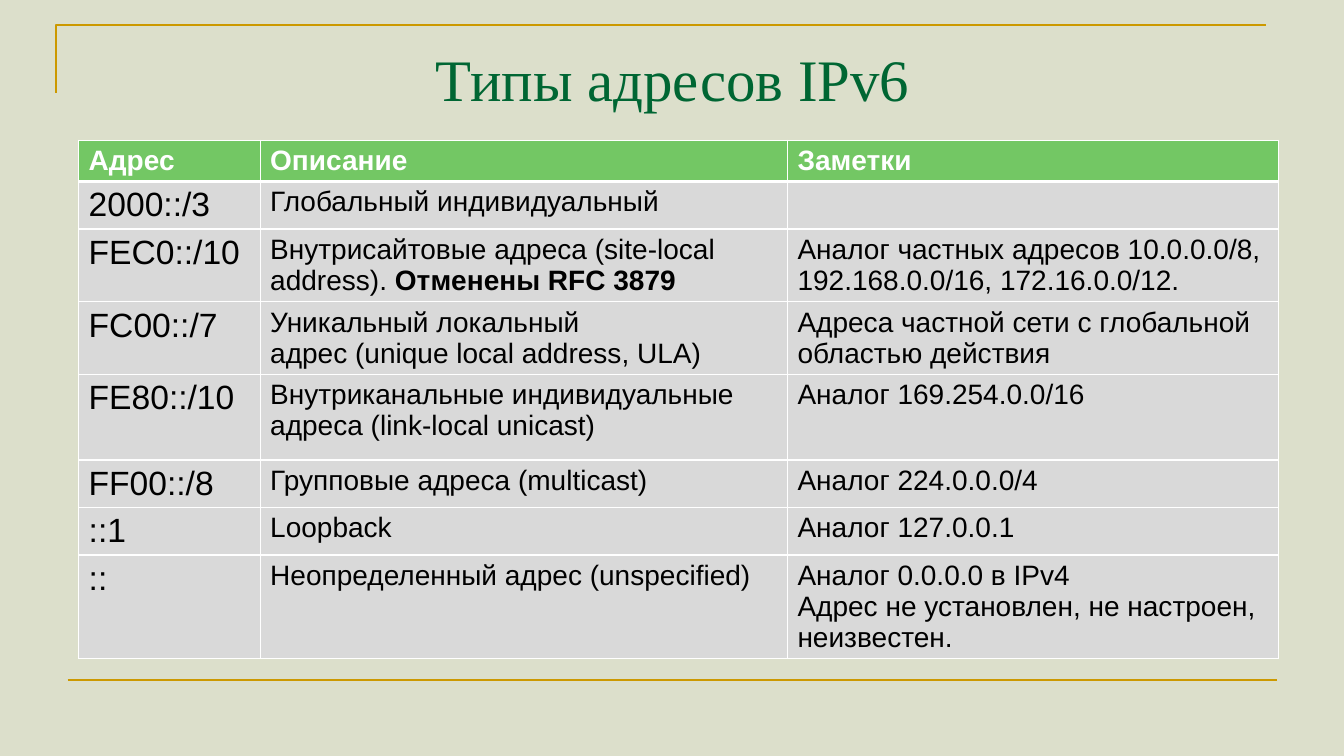
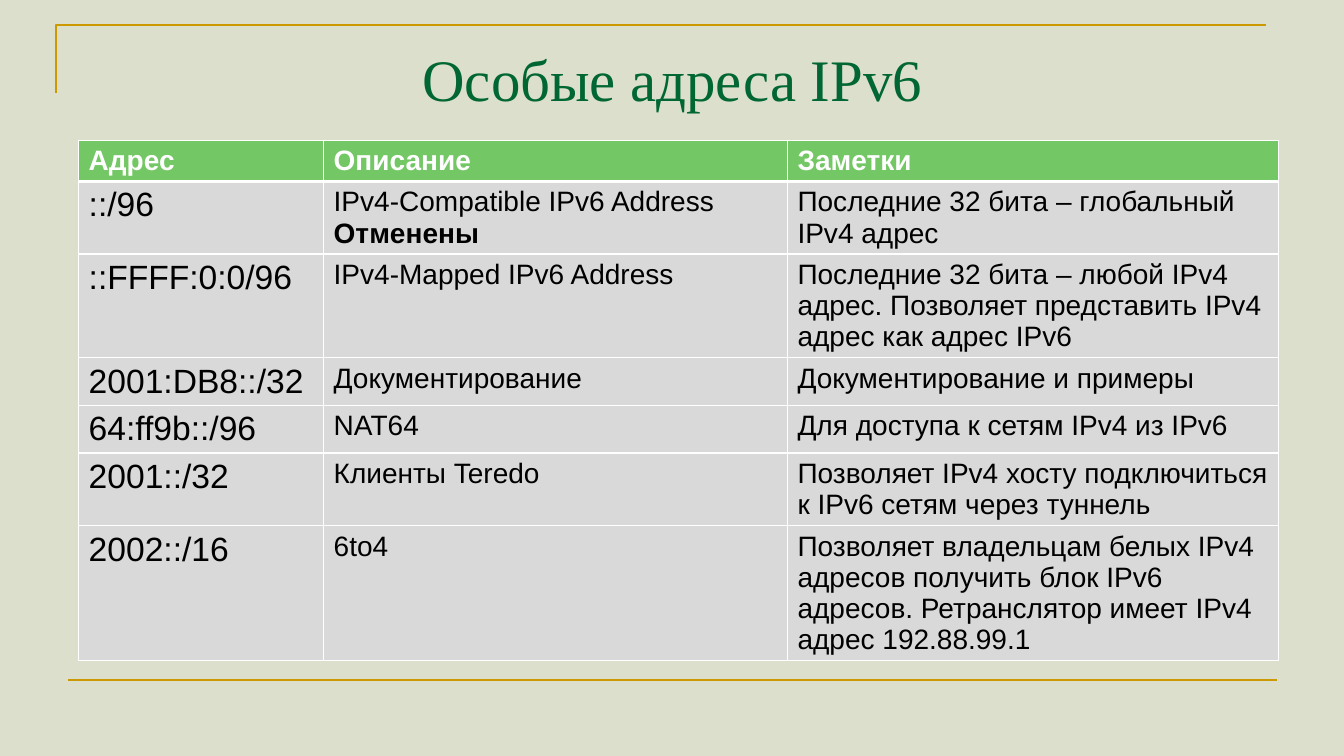
import pptx
import pptx.dml.color
import pptx.enum.shapes
import pptx.enum.text
import pptx.oxml
import pptx.oxml.ns
import pptx.util
from pptx.util import Inches

COLORS = {
    "background": "DCDFCB",
    "rule": "CC9900",
    "title": "006633",
    "header": "73C764",
    "header_text": "FFFFFF",
    "body": "D9D9D9",
    "body_text": "000000",
    "border": "FFFFFF",
}
TITLE_FONT = "Times New Roman"
TABLE_FONT = "Arial"
TITLE_ONLY = 5
HEADINGS = ("Адрес", "Описание", "Заметки")
HEADER_HEIGHT = 0.41
# Row heights in inches by the number of text lines
ONE, TWO, THREE, FOUR = 0.47, 0.72, 1.03, 1.34
BOLD_MARK = "**"

# Each row: height, address, description, notes; text after ** is bold
ADDRESS_TYPES = [
    (ONE, "2000::/3", "Глобальный индивидуальный", ""),
    (TWO, "FEC0::/10",
     "Внутрисайтовые адреса (site-local address). **Отменены RFC 3879",
     "Аналог частных адресов 10.0.0.0/8, 192.168.0.0/16, 172.16.0.0/12."),
    (TWO, "FC00::/7",
     "Уникальный локальный\nадрес (unique local address, ULA)",
     "Адреса частной сети с глобальной областью действия"),
    (0.85, "FE80::/10",
     "Внутриканальные индивидуальные адреса (link-local unicast)",
     "Аналог 169.254.0.0/16"),
    (ONE, "FF00::/8", "Групповые адреса (multicast)", "Аналог 224.0.0.0/4"),
    (ONE, "::1", "Loopback", "Аналог 127.0.0.1"),
    (THREE, "::", "Неопределенный адрес (unspecified)",
     "Аналог 0.0.0.0 в IPv4\nАдрес не установлен, не настроен, неизвестен."),
]
SPECIAL_ADDRESSES = [
    (TWO, "::/96", "IPv4-Compatible IPv6 Address **Отменены",
     "Последние 32 бита – глобальный IPv4 адрес"),
    (THREE, "::FFFF:0:0/96", "IPv4-Mapped IPv6 Address",
     "Последние 32 бита – любой IPv4 адрес. "
     "Позволяет представить IPv4 адрес как адрес IPv6"),
    (ONE, "2001:DB8::/32", "Документирование", "Документирование и примеры"),
    (ONE, "64:ff9b::/96", "NAT64", "Для доступа к сетям IPv4 из IPv6"),
    (TWO, "2001::/32", "Клиенты Teredo",
     "Позволяет IPv4 хосту подключиться к IPv6 сетям через туннель"),
    (FOUR, "2002::/16", "6to4",
     "Позволяет владельцам белых IPv4 адресов получить блок IPv6 адресов. "
     "Ретранслятор имеет IPv4 адрес 192.88.99.1"),
]


def rgb(name):
    return pptx.dml.color.RGBColor.from_string(COLORS[name])


def style_font(font, name, size, color, bold=False):
    font.name = name
    font.size = pptx.util.Pt(size)
    font.color.rgb = rgb(color)
    font.bold = bold


def style_rule(line):
    line.color.rgb = rgb("rule")
    line.width = pptx.util.Pt(1.5)


def add_frame(slide):
    """Draw the corner and the bottom rule, then move them to the layout."""
    builder = slide.shapes.build_freeform(Inches(0.56), Inches(0.92))
    builder.add_line_segments(
        [(Inches(0.56), Inches(0.25)), (Inches(12.56), Inches(0.25))],
        close=False)
    corner = builder.convert_to_shape()
    corner.fill.background()
    corner.shadow.inherit = False
    bottom_rule = slide.shapes.add_connector(
        pptx.enum.shapes.MSO_CONNECTOR.STRAIGHT,
        Inches(0.67), Inches(6.75), Inches(12.67), Inches(6.75))
    for rule in (corner, bottom_rule):
        style_rule(rule.line)
    bottom_rule.element.spPr.append(pptx.oxml.parse_xml(
        f'<a:effectLst {pptx.oxml.ns.nsdecls("a")}/>'))
    for rule in (corner, bottom_rule):
        slide.slide_layout.shapes.element.append(rule.element)


def set_title(slide, text):
    title = slide.shapes.title
    title.left, title.top = Inches(0.67), Inches(0.3)
    title.width, title.height = Inches(12), Inches(1.25)
    frame = title.text_frame
    frame.text = text
    frame.margin_top = Inches(0.12)
    frame.vertical_anchor = pptx.enum.text.MSO_ANCHOR.TOP
    heading = frame.paragraphs[0]
    heading.alignment = pptx.enum.text.PP_ALIGN.CENTER
    style_font(heading.font, TITLE_FONT, 42, "title")


def set_borders(cell, top, bottom):
    """Border the cell; the top and bottom widths are in points."""
    properties = cell._tc.get_or_add_tcPr()
    for side, width in (("L", 1), ("R", 1), ("T", top), ("B", bottom)):
        properties.append(pptx.oxml.parse_xml(
            f'<a:ln{side} {pptx.oxml.ns.nsdecls("a")} w="{pptx.util.Pt(width)}">'
            f'<a:solidFill><a:srgbClr val="{COLORS["border"]}"/></a:solidFill>'
            f'</a:ln{side}>'))


def fill_cell(cell, text, row, column):
    is_header = row == 0
    set_borders(cell, top=3 if row == 1 else 1, bottom=3 if is_header else 1)
    cell.fill.solid()
    cell.fill.fore_color.rgb = rgb("header" if is_header else "body")
    size = 24 if column == 0 and not is_header else 20
    color = "header_text" if is_header else "body_text"
    for index, line in enumerate(text.split("\n")):
        frame = cell.text_frame
        paragraph = frame.add_paragraph() if index else frame.paragraphs[0]
        plain, _, bold = line.partition(BOLD_MARK)
        if plain:
            paragraph.add_run().text = plain
        if bold:
            emphasis = paragraph.add_run()
            emphasis.text = bold
            emphasis.font.bold = True
        style_font(paragraph.font, TABLE_FONT, size, color, is_header)


def add_address_table(slide, widths, entries):
    rows = [(HEADER_HEIGHT, *HEADINGS), *entries]
    table = slide.shapes.add_table(
        len(rows), len(widths), Inches(0.78), Inches(1.39),
        Inches(sum(widths)), Inches(sum(row[0] for row in rows))).table
    table.horz_banding = False
    for column, width in zip(table.columns, widths):
        column.width = Inches(width)
    for row, (height, *texts) in enumerate(rows):
        table.rows[row].height = Inches(height)
        for column, text in enumerate(texts):
            fill_cell(table.cell(row, column), text, row, column)


def main():
    deck = pptx.Presentation()
    deck.slide_width, deck.slide_height = Inches(13.33), Inches(7.5)
    background = deck.slide_master.background.fill
    background.solid()
    background.fore_color.rgb = rgb("background")
    layout = deck.slide_layouts[TITLE_ONLY]

    types = deck.slides.add_slide(layout)
    add_frame(types)
    set_title(types, "Типы адресов IPv6")
    add_address_table(types, (1.8, 5.23, 4.87), ADDRESS_TYPES)

    special = deck.slides.add_slide(layout)
    set_title(special, "Особые адреса IPv6")
    add_address_table(special, (2.43, 4.6, 4.87), SPECIAL_ADDRESSES)

    deck.save("out.pptx")


if __name__ == "__main__":
    main()
